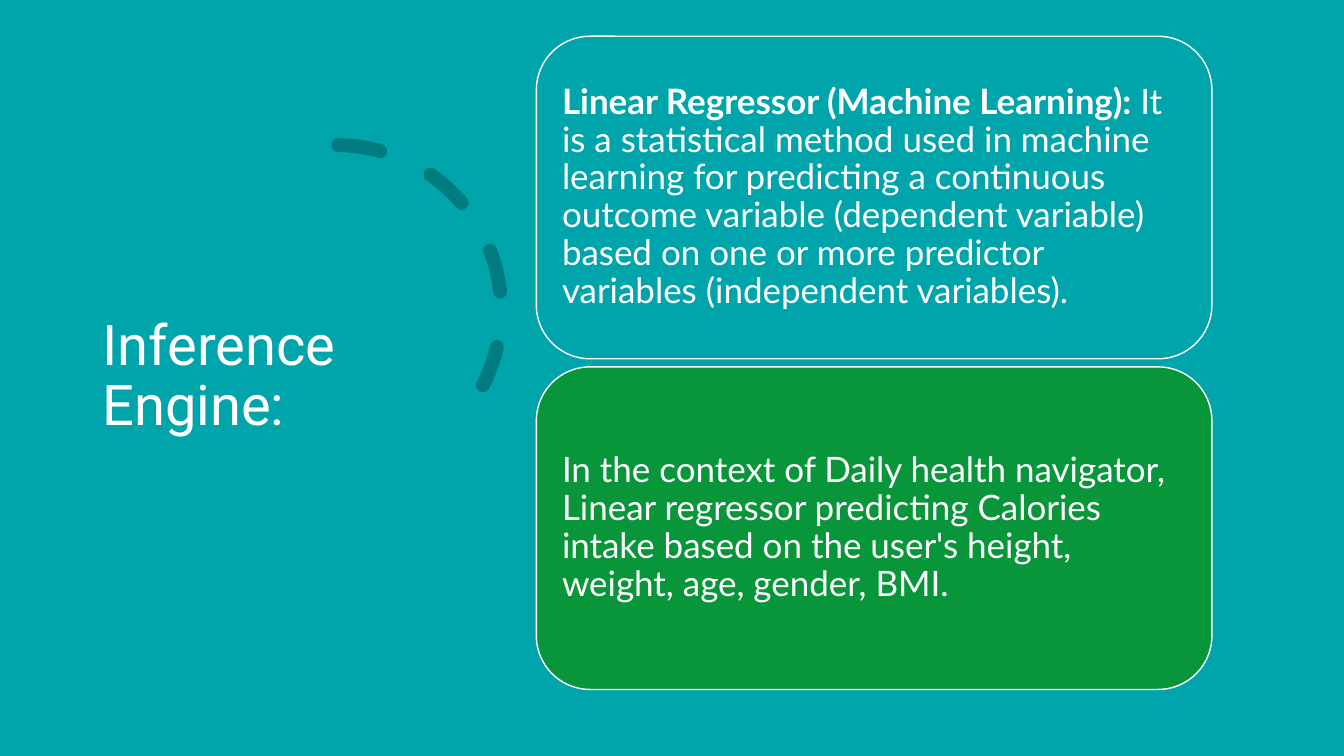
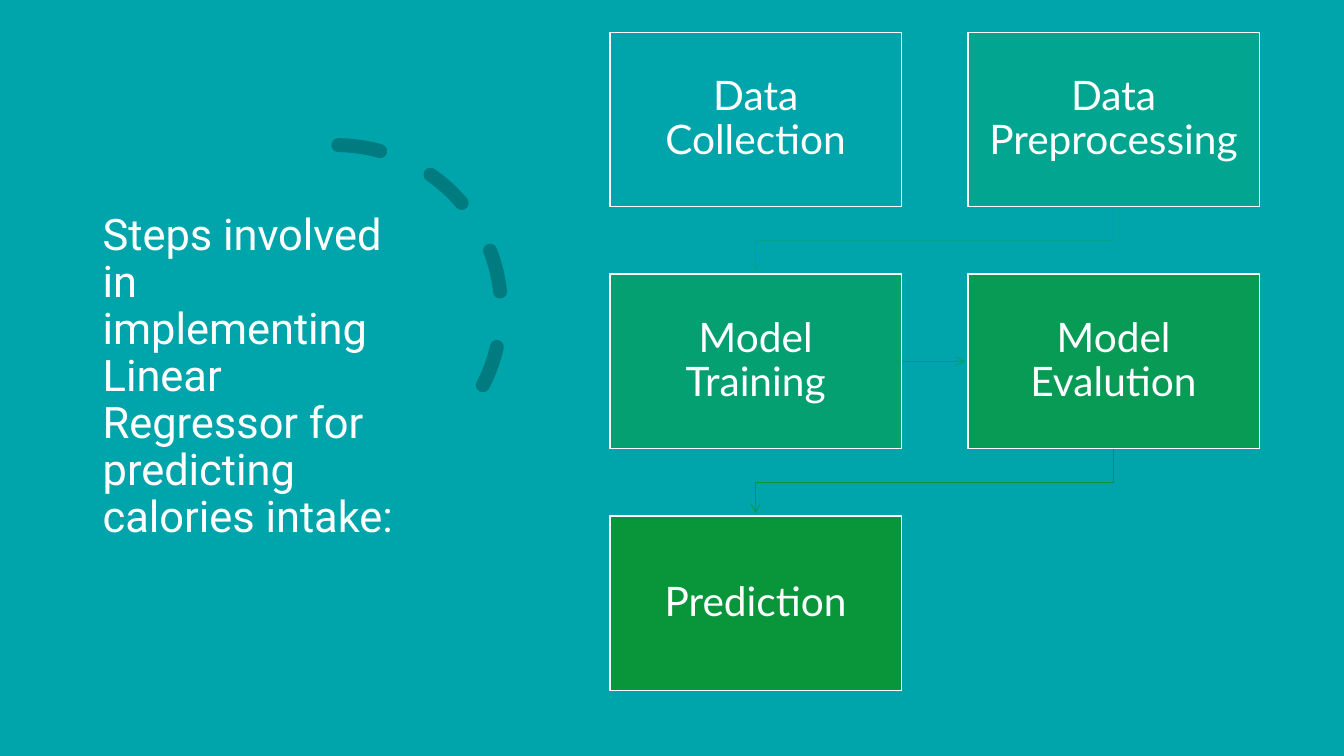
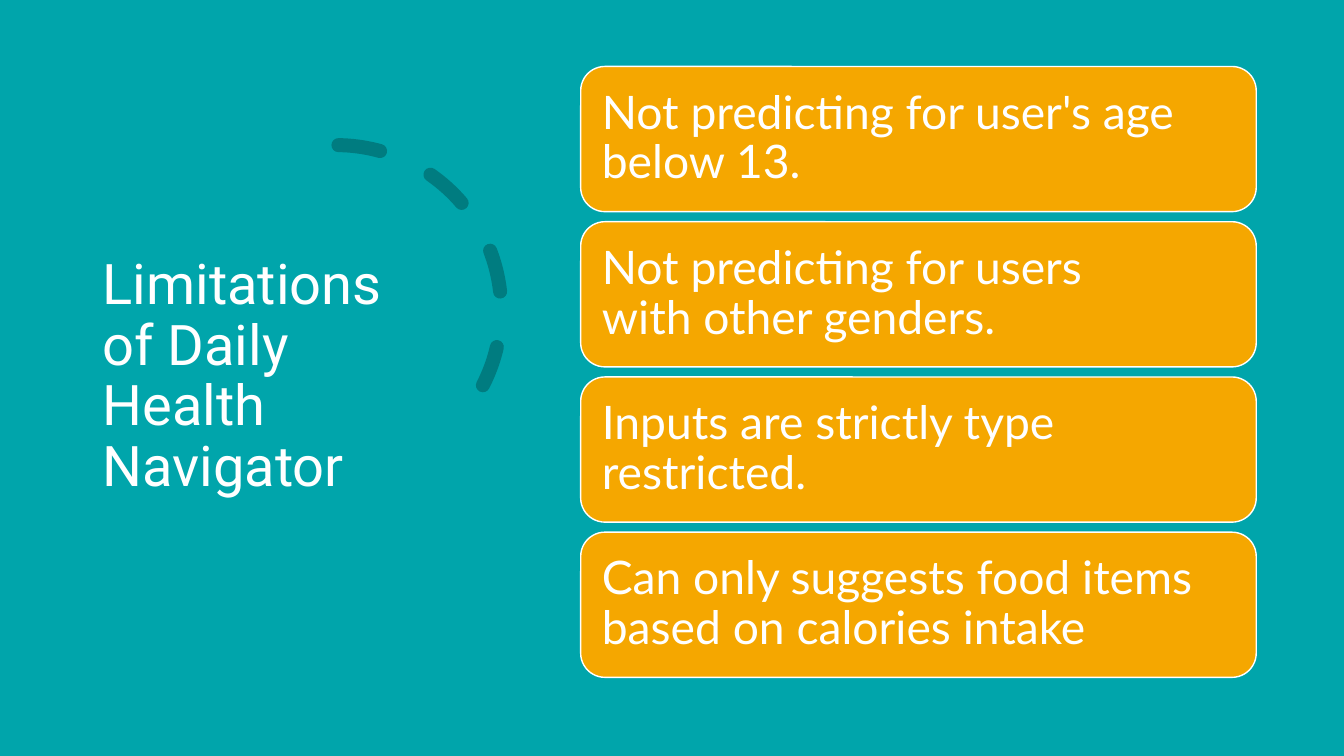
"""Three slides on the inference engine, steps and limits of a health navigator."""
from lxml.etree import SubElement
from pptx import Presentation
from pptx.dml.color import RGBColor
from pptx.enum.dml import MSO_LINE
from pptx.enum.shapes import MSO_CONNECTOR, MSO_SHAPE
from pptx.enum.text import MSO_ANCHOR, PP_ALIGN
from pptx.oxml.ns import qn
from pptx.util import Inches, Pt

WIDTH, HEIGHT = 13.33, 7.5
TEAL, DARK_TEAL, GREEN, ORANGE, WHITE = "00A5AB", "007C80", "09963B", "F5A700", "FFFFFF"
TITLE_FONT, BODY_FONT = "Roboto", "Lato"

ENGINE_TITLE = "Inference Engine:"
ENGINE_CARDS = [
    (TEAL, "Linear Regressor (Machine Learning):",
     " It is a statistical method used in machine learning for predicting a continuous "
     "outcome variable (dependent variable) based on one or more predictor variables "
     "(independent variables)."),
    (GREEN, "",
     "In the context of Daily health navigator, Linear regressor predicting Calories "
     "intake based on the user's height, weight, age, gender, BMI."),
]

STEPS_TITLE = "Steps involved in implementing Linear Regressor for predicting calories intake:"
STEPS = [
    ("Data Collection", TEAL),
    ("Data Preprocessing", "02A690"),
    ("Model Training", "05A071"),
    ("Model Evalution", "079B55"),
    ("Prediction", GREEN),
]
ARROW_COLORS = [TEAL, "03A485", "069D5E", GREEN]

LIMITS_TITLE = "Limitations of Daily Health Navigator"
LIMITS = [
    (ORANGE, "", "Not predicting for user's age below 13."),
    (ORANGE, "", "Not predicting for users\nwith other genders."),
    (ORANGE, "", "Inputs are strictly type restricted."),
    (ORANGE, "", "Can only suggests food items based on calories intake"),
]


def color(value):
    return RGBColor.from_string(value)


def inches(*lengths):
    return [Inches(length) for length in lengths]


def write(shape, text, lead="", size=25, font=BODY_FONT, align=PP_ALIGN.LEFT, insets=(0.1, 0.1)):
    """Fill a shape with one paragraph, led by an optional bold run."""
    frame = shape.text_frame
    frame.word_wrap = True
    frame.vertical_anchor = MSO_ANCHOR.MIDDLE
    frame.margin_left = frame.margin_right = Inches(insets[0])
    frame.margin_top = frame.margin_bottom = Inches(insets[1])
    paragraph = frame.paragraphs[0]
    paragraph.alignment = align
    paragraph.line_spacing = 0.9
    pieces = [(lead, True)] if lead else []
    pieces += [(line, False) for line in text.split("\n")]
    for index, (words, bold) in enumerate(pieces):
        if index and not pieces[index - 1][1]:
            paragraph.add_line_break()
        run = paragraph.add_run()
        run.text = words
        run.font.name, run.font.size, run.font.bold = font, Pt(size), bold
        run.font.color.rgb = color(WHITE)


def add_box(slide, kind, box, fill, outline=WHITE):
    shape = slide.shapes.add_shape(kind, *inches(*box))
    shape.shadow.inherit = False
    shape.fill.solid()
    shape.fill.fore_color.rgb = color(fill)
    if outline:
        shape.line.color.rgb = color(outline)
        shape.line.width = Pt(1)
    else:
        shape.line.fill.background()
    return shape


def add_titled_slide(presentation, title, size=40):
    slide = presentation.slides.add_slide(presentation.slide_layouts[6])
    add_box(slide, MSO_SHAPE.RECTANGLE, (0, 0, WIDTH, HEIGHT), TEAL, outline=None)
    arc = slide.shapes.add_shape(MSO_SHAPE.ARC, *inches(1.7, 1.44, 3.27, 3.27))
    arc.shadow.inherit = False
    arc.rotation = 27.2
    arc.adjustments[0], arc.adjustments[1] = 146.13, 0
    arc.fill.background()
    arc.line.color.rgb = color(DARK_TEAL)
    arc.line.width = Pt(10)
    arc.line.dash_style = MSO_LINE.DASH
    arc.line._get_or_add_ln().set("cap", "rnd")
    box = slide.shapes.add_textbox(*inches(0.92, 0.7, 3.23, 6.09))
    write(box, title, size=size, font=TITLE_FONT, insets=(0.1, 0.05))
    return slide


def add_card_stack(slide, cards, left, top, height, pitch, size, inset):
    for row, (fill, lead, text) in enumerate(cards):
        card = add_box(slide, MSO_SHAPE.ROUNDED_RECTANGLE,
                       (left, top + row * pitch, 6.7, height), fill)
        write(card, text, lead=lead, size=size, insets=(inset, inset))


def add_arrow(slide, points, stroke):
    """Draw a straight connector for two points, or a bent line for more."""
    points = [inches(*point) for point in points]
    if len(points) == 2:
        arrow = slide.shapes.add_connector(MSO_CONNECTOR.STRAIGHT, *points[0], *points[1])
    else:
        builder = slide.shapes.build_freeform(*points[0])
        builder.add_line_segments(points[1:], close=False)
        arrow = builder.convert_to_shape()
        arrow.fill.background()
    arrow.line.color.rgb = color(stroke)
    arrow.line.width = Pt(0.5)
    SubElement(arrow.line._get_or_add_ln(), qn("a:tailEnd"), type="arrow")
    SubElement(arrow._element.spPr, qn("a:effectLst"))


def add_step_grid(slide):
    left, top, width, height = 6.05, 0.32, 2.89, 1.73
    column_pitch, row_pitch, clearance = 3.55, 2.4, 0.03
    corners = [(left + index % 2 * column_pitch, top + index // 2 * row_pitch)
               for index in range(len(STEPS))]
    for (x, y), (next_x, next_y), stroke in zip(corners, corners[1:], ARROW_COLORS):
        if y == next_y:
            middle = y + height / 2
            points = [(x + width, middle), (next_x - clearance, middle)]
        else:
            start, end = x + width / 2, next_x + width / 2
            bend = (y + height + next_y) / 2
            points = [(start, y + height), (start, bend), (end, bend), (end, next_y - clearance)]
        add_arrow(slide, points, stroke)
    for corner, (text, fill) in zip(corners, STEPS):
        step = add_box(slide, MSO_SHAPE.RECTANGLE, (*corner, width, height), fill)
        write(step, text, size=29, align=PP_ALIGN.CENTER, insets=(0.14, 0.15))


def main():
    presentation = Presentation()
    presentation.slide_width, presentation.slide_height = inches(WIDTH, HEIGHT)
    engine = add_titled_slide(presentation, ENGINE_TITLE)
    add_card_stack(engine, ENGINE_CARDS, left=5.32, top=0.36, height=3.2, pitch=3.28,
                   size=25, inset=0.1)
    add_step_grid(add_titled_slide(presentation, STEPS_TITLE, size=31))
    limits = add_titled_slide(presentation, LIMITS_TITLE)
    add_card_stack(limits, LIMITS, left=5.76, top=0.66, height=1.44, pitch=1.54,
                   size=33, inset=0.14)
    presentation.save("out.pptx")


if __name__ == "__main__":
    main()
